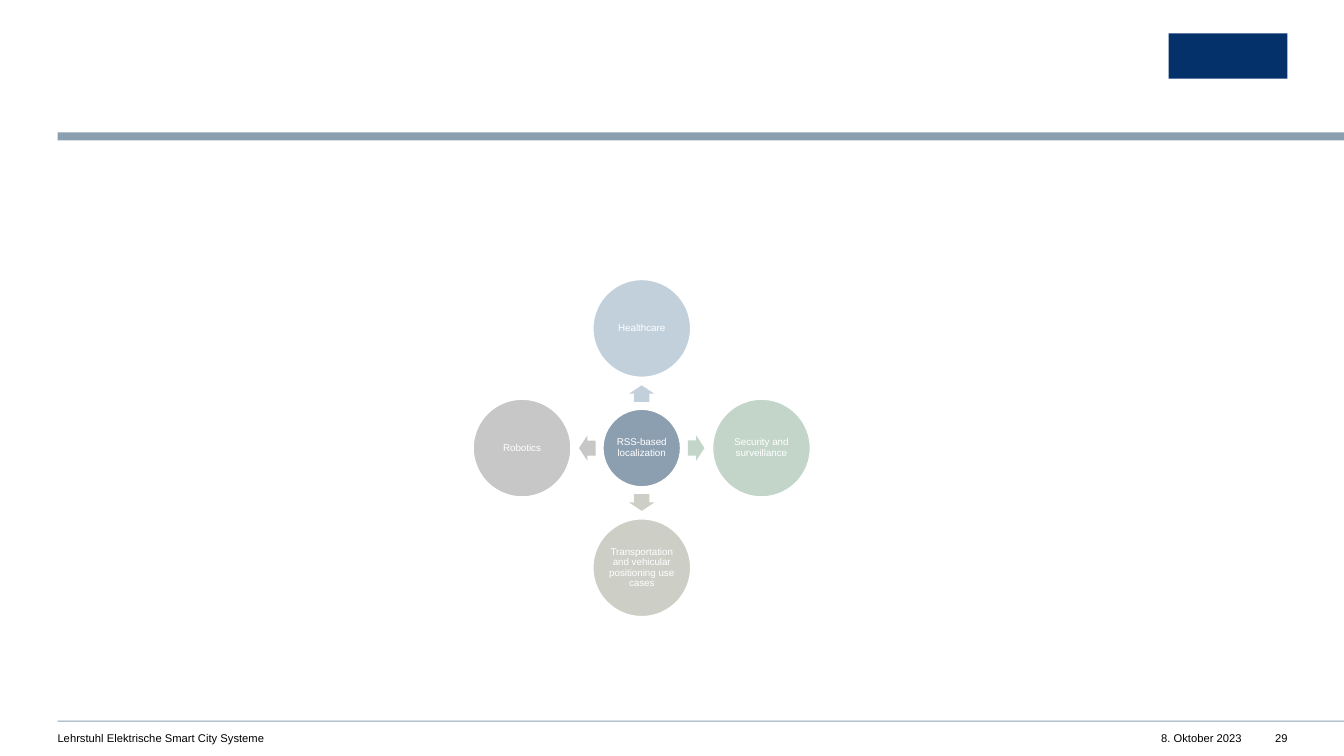
import math
from dataclasses import dataclass

from pptx import Presentation
from pptx.dml.color import RGBColor
from pptx.enum import shapes, text
from pptx import util as u

NAVY = RGBColor(0x04, 0x31, 0x6A)
STEEL = RGBColor(0x8C, 0x9F, 0xB1)
ICE = RGBColor(0xC2, 0xD0, 0xDC)
SAGE = RGBColor(0xC3, 0xD5, 0xC9)
SAND = RGBColor(0xCD, 0xCE, 0xC5)
GREY = RGBColor(0xC7, 0xC7, 0xC7)
WHITE = RGBColor(0xFF, 0xFF, 0xFF)
BLACK = RGBColor(0x00, 0x00, 0x00)

FONT = "Arial"
SHAPE = shapes.MSO_SHAPE
ALIGN = text.PP_ALIGN

prs = Presentation()
prs.slide_width, prs.slide_height = u.Inches(13.33), u.Inches(7.5)
s = prs.slides.add_slide(prs.slide_layouts[6])


def across(percent: float) -> int:
    """Share of the slide width."""
    return round(prs.slide_width * percent / 100)


def down(percent: float) -> int:
    """Share of the slide height."""
    return round(prs.slide_height * percent / 100)


# Layout shares, in percent
MARGIN = 4.28
HUB_X, HUB_Y = across(47.75), down(59.27)
HUB_SIZE, NODE_SIZE = down(10.27), down(12.93)
ORBIT, ARROW_ORBIT = down(15.83), down(7.2)
ARROW_W, ARROW_H = down(2.2), down(3.33)


@dataclass
class Block:
    left: float
    top: float
    width: float
    height: float
    color: RGBColor


@dataclass
class Footer:
    label: str
    left: float
    width: float
    align: ALIGN
    wrap: bool


@dataclass
class Node:
    label: str
    angle: int
    color: RGBColor


BLOCKS = [
    Block(MARGIN, 17.5, 100 - MARGIN, 1.07, STEEL),
    Block(MARGIN, 95.33, 100 - MARGIN, 0.13, STEEL),
    Block(86.95, 4.4, 8.85, 6, NAVY),
]
FOOTERS = [
    Footer("8. Oktober 2023", 85.45, 6.95, ALIGN.RIGHT, False),
    Footer("Lehrstuhl Elektrische Smart City Systeme", MARGIN, 44.86, ALIGN.LEFT, True),
    Footer("29", 94.22, 1.58, ALIGN.RIGHT, False),
]
NODES = [
    Node("Healthcare", 270, ICE),
    Node("Security and surveillance", 0, SAGE),
    Node("Transportation and vehicular positioning use cases", 90, SAND),
    Node("Robotics", 180, GREY),
]


def add_filled(kind: SHAPE, left: int, top: int, width: int, height: int, color: RGBColor):
    sp = s.shapes.add_shape(kind, left, top, width, height)
    sp.shadow.inherit = False
    sp.fill.solid()
    sp.fill.fore_color.rgb = color
    sp.line.fill.background()
    return sp


def write(tf, label: str, size: float, color: RGBColor, align: ALIGN, inset: float):
    tf.margin_left = tf.margin_right = tf.margin_top = tf.margin_bottom = u.Inches(inset)
    p = tf.paragraphs[0]
    p.alignment = align
    r = p.add_run()
    r.text = label
    r.font.name, r.font.size = FONT, u.Pt(size)
    r.font.color.rgb = color
    return p


def add_circle(label: str, x: int, y: int, size: int, color: RGBColor) -> None:
    sp = add_filled(SHAPE.OVAL, x - size // 2, y - size // 2, size, size, color)
    sp.line.color.rgb = WHITE
    sp.line.width = u.Pt(1)
    tf = sp.text_frame
    tf.word_wrap = True
    tf.vertical_anchor = text.MSO_ANCHOR.MIDDLE
    write(tf, label, 7, WHITE, ALIGN.CENTER, 0.01).line_spacing = 0.9


def on_orbit(radius: int, angle: int) -> tuple[int, int]:
    a = math.radians(angle)
    return HUB_X + round(radius * math.cos(a)), HUB_Y + round(radius * math.sin(a))


def add_node(node: Node) -> None:
    x, y = on_orbit(ARROW_ORBIT, node.angle)
    sp = add_filled(SHAPE.RIGHT_ARROW, x - ARROW_W // 2, y - ARROW_H // 2,
                    ARROW_W, ARROW_H, node.color)
    sp.adjustments[0], sp.adjustments[1] = 0.6, 0.5
    sp.rotation = node.angle
    add_circle(node.label, *on_orbit(ORBIT, node.angle), NODE_SIZE, node.color)


def add_footer(footer: Footer) -> None:
    sp = s.shapes.add_textbox(across(footer.left), down(96.8), across(footer.width), down(1.73))
    tf = sp.text_frame
    tf.word_wrap = footer.wrap
    write(tf, footer.label, 8, BLACK, footer.align, 0)


# Header bar, footer rule and emblem block
for b in BLOCKS:
    add_filled(SHAPE.RECTANGLE, across(b.left), down(b.top), across(b.width), down(b.height), b.color)

# Footer texts
for footer in FOOTERS:
    add_footer(footer)

# Hub with its four application fields
add_circle("RSS-based localization", HUB_X, HUB_Y, HUB_SIZE, STEEL)
for node in NODES:
    add_node(node)

prs.save("out.pptx")
